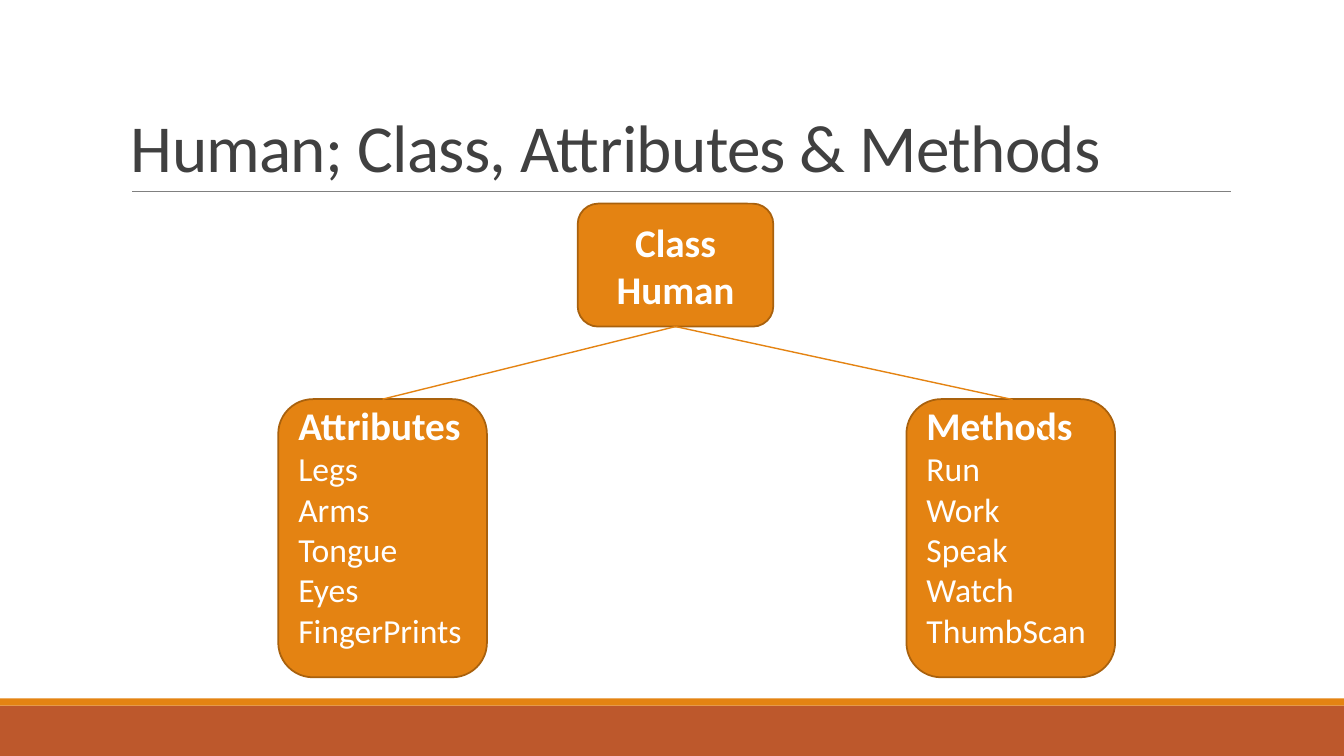
from lxml import etree
from pptx import Presentation
from pptx.dml.color import RGBColor
from pptx.enum.shapes import MSO_CONNECTOR, MSO_SHAPE
from pptx.enum.text import MSO_ANCHOR, PP_ALIGN
from pptx.oxml.ns import qn
from pptx.util import Inches, Pt

# Content
TITLE = "Human; Class, Attributes & Methods"
ROOT = "Class Human"
MEMBERS = [
    (2.76, "Attributes", ["Legs", "Arms", "Tongue", "Eyes", "FingerPrints"]),
    (8.99, "Methods", ["Run", "Work", "Speak", "Watch", "ThumbScan"]),
]
BANDS = [(7, 0.5, "BD582C"), (6.93, 0.07, "E48312")]
ORANGE, EDGE, WHITE, DARK, GREY = "E48312", "A9610D", "FFFFFF", "404040", "808080"
SLIDE_W, SLIDE_H = 13.33, 7.5
MEMBER_TOP, MEMBER_W, MEMBER_H = 3.96, 2.07, 2.76


def color(value):
    return RGBColor.from_string(value)


def add_box(kind, x, y, w, h, fill, edge=None):
    sp = s.shapes.add_shape(kind, Inches(x), Inches(y), Inches(w), Inches(h))
    sp.shadow.inherit = False
    sp.fill.solid()
    sp.fill.fore_color.rgb = color(fill)
    if edge:
        sp.line.color.rgb = color(edge)
        sp.line.width = Pt(1.25)
    else:
        sp.line.fill.background()
    return sp


def add_line(x1, y1, x2, y2, line, width):
    cn = s.shapes.add_connector(MSO_CONNECTOR.STRAIGHT, Inches(x1), Inches(y1),
                                Inches(x2), Inches(y2))
    cn.line.color.rgb = color(line)
    cn.line.width = Pt(width)
    etree.SubElement(cn._element.spPr, qn("a:effectLst"))
    return cn


def write(sp, lines, align, anchor=MSO_ANCHOR.MIDDLE):
    """Each line is (text, size, bold, color)."""
    tf = sp.text_frame
    tf.word_wrap = True
    tf.vertical_anchor = anchor
    for i, (text, size, bold, ink) in enumerate(lines):
        p = tf.add_paragraph() if i else tf.paragraphs[0]
        p.text = text
        p.alignment = align
        p.font.name = "Calibri"
        p.font.size = Pt(size)
        p.font.bold = bold
        p.font.color.rgb = color(ink)
    return tf


prs = Presentation()
prs.slide_width, prs.slide_height = Inches(SLIDE_W), Inches(SLIDE_H)
s = prs.slides.add_slide(prs.slide_layouts[6])

# Footer bands and title rule
for top, height, fill in BANDS:
    add_box(MSO_SHAPE.RECTANGLE, 0, top, SLIDE_W, height, fill)
add_line(1.31, 1.9, 12.21, 1.9, GREY, 0.5)

# Title
title = s.shapes.add_textbox(Inches(1.2), Inches(0.31), Inches(11), Inches(1.59))
tf = write(title, [(TITLE, 48, False, DARK)], PP_ALIGN.LEFT, MSO_ANCHOR.BOTTOM)
p = tf.paragraphs[0]
p.line_spacing = 0.85
p.runs[0].font._element.set("spc", "-50")

# Class box
root = add_box(MSO_SHAPE.ROUNDED_RECTANGLE, 5.73, 2.02, 1.94, 1.22, ORANGE, EDGE)
write(root, [(ROOT, 28, True, WHITE)], PP_ALIGN.CENTER)

# Member boxes, each joined to the class box
for left, heading, names in MEMBERS:
    sp = add_box(MSO_SHAPE.ROUNDED_RECTANGLE, left, MEMBER_TOP, MEMBER_W, MEMBER_H,
                 ORANGE, EDGE)
    tf = write(sp, [(heading, 28, True, WHITE)]
               + [(name, 24, False, WHITE) for name in names], PP_ALIGN.LEFT)
    tf.margin_top, tf.margin_bottom = Inches(0), Inches(0.25)
    cn = add_line(6.7, 3.24, left + MEMBER_W / 2, MEMBER_TOP, ORANGE, 1)
    cn.begin_connect(root, 2)
    cn.end_connect(sp, 0)

# Short diagonal across the Methods heading
add_line(10.03, MEMBER_TOP, 11.03, MEMBER_TOP + 1, ORANGE, 1)

prs.save("out.pptx")
